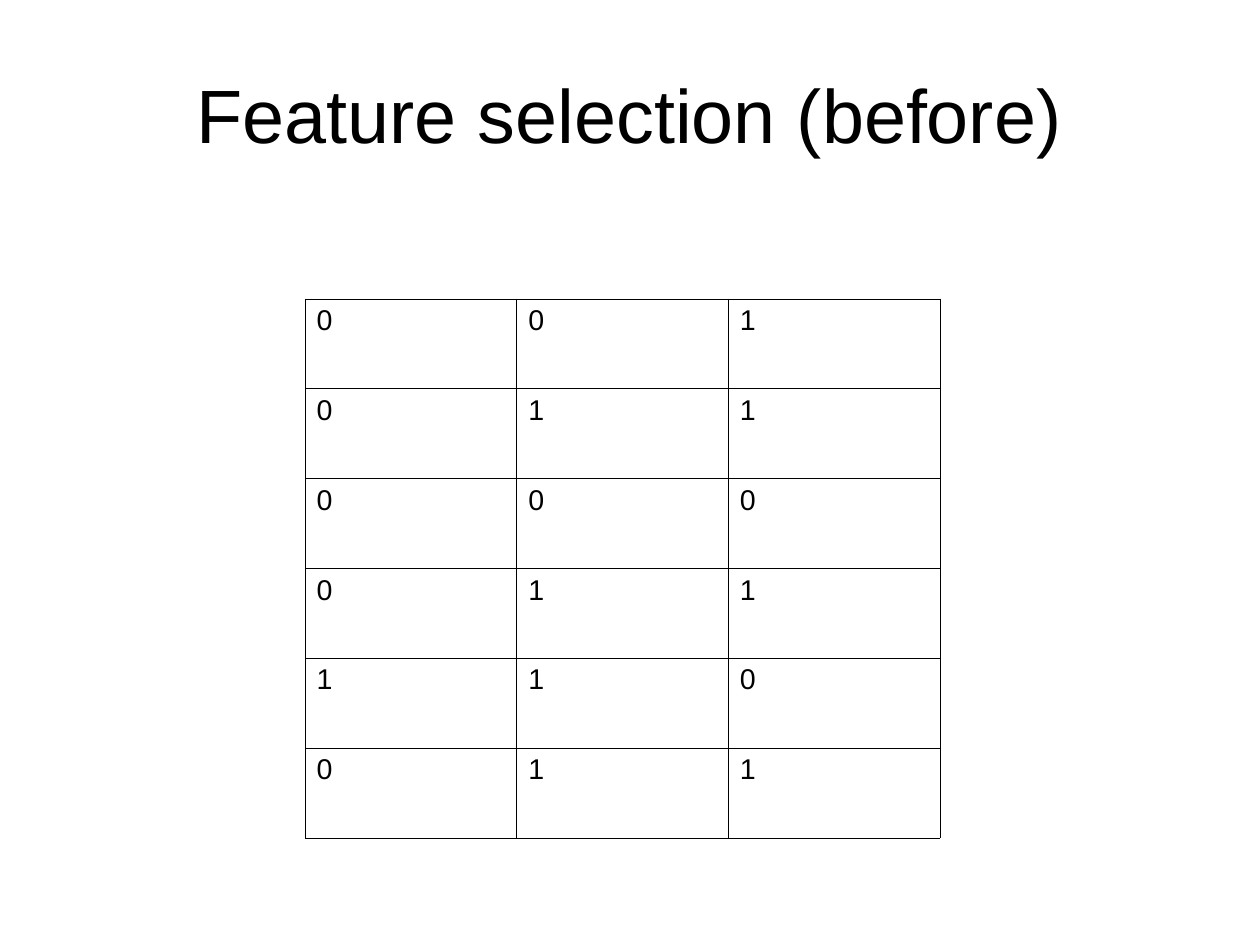
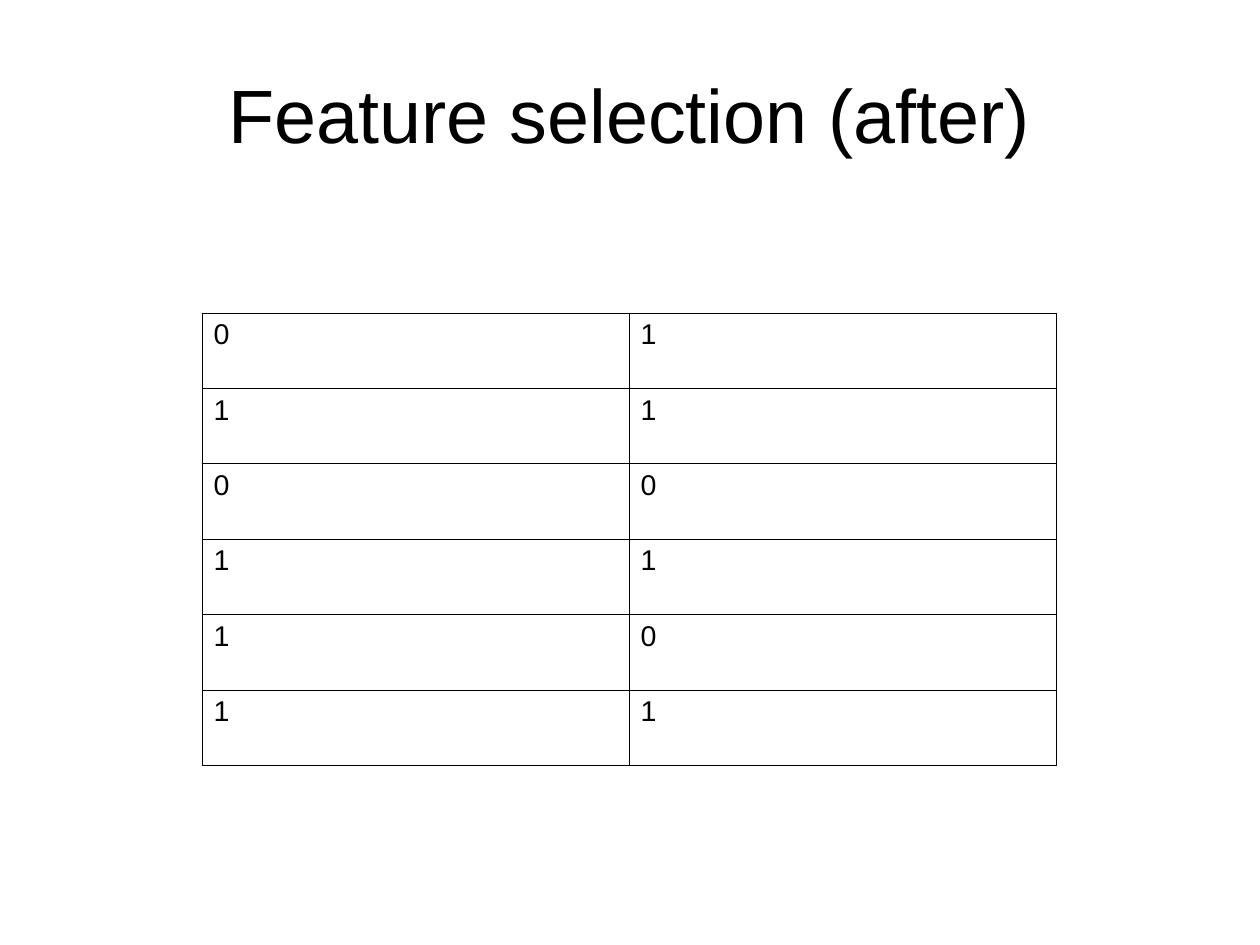
"""Build two slides showing a binary table before and after feature selection."""
from lxml import etree
from pptx import Presentation
from pptx import util as u
from pptx.dml import color
from pptx.enum import text
from pptx.oxml import ns

COLORS = {"ink": "000000", "paper": "FFFFFF"}
FONT = "Arial"
BORDER_WIDTH = u.Pt(0.57)


def style_font(font, size):
    font.name = FONT
    font.size = u.Pt(size)
    font.bold = False
    font.color.rgb = color.RGBColor.from_string(COLORS["ink"])


def add_borders(cell):
    properties = cell._tc.get_or_add_tcPr()
    for index, side in enumerate(("lnL", "lnR", "lnT", "lnB")):
        line = etree.Element(ns.qn(f"a:{side}"), w=str(BORDER_WIDTH))
        fill = etree.SubElement(line, ns.qn("a:solidFill"))
        etree.SubElement(fill, ns.qn("a:srgbClr"), val=COLORS["ink"])
        properties.insert(index, line)


features = ["001", "011", "000", "011", "110", "011"]
selected = [row[1:] for row in features]
slides = [
    ("Feature selection (before)", features, 192.3, 188.4, 133.3, 56.6),
    ("Feature selection (after)", selected, 127.4, 197.2, 269, 47.5),
]

presentation = Presentation()
presentation.slide_width = u.Pt(793.7)
presentation.slide_height = u.Pt(595.3)
background = presentation.slide_master.background.fill
background.solid()
background.fore_color.rgb = color.RGBColor.from_string(COLORS["paper"])

for heading, rows, left, top, column_width, row_height in slides:
    slide = presentation.slides.add_slide(presentation.slide_layouts[5])

    title = slide.shapes.title
    title.left, title.top = u.Pt(39.6), u.Pt(22.3)
    title.width, title.height = u.Pt(714.2), u.Pt(97.9)
    frame = title.text_frame
    frame.text = heading
    frame.margin_left = frame.margin_right = frame.margin_top = frame.margin_bottom = 0
    frame.vertical_anchor = text.MSO_ANCHOR.MIDDLE
    frame.auto_size = text.MSO_AUTO_SIZE.NONE
    frame.word_wrap = True
    frame.paragraphs[0].alignment = text.PP_ALIGN.CENTER
    style_font(frame.paragraphs[0].runs[0].font, 47.6)

    row_count, column_count = len(rows), len(rows[0])
    table = slide.shapes.add_table(
        row_count, column_count, u.Pt(left), u.Pt(top),
        u.Pt(column_width * column_count), u.Pt(row_height * row_count),
    ).table
    table.first_row = table.horz_banding = False
    for row, values in zip(table.rows, rows):
        for cell, value in zip(row.cells, values):
            cell.fill.background()
            cell.margin_left = cell.margin_right = u.Pt(7.2)
            cell.margin_top = cell.margin_bottom = u.Pt(3.6)
            cell.text_frame.text = value
            style_font(cell.text_frame.paragraphs[0].runs[0].font, 18)
            add_borders(cell)

presentation.save("out.pptx")
